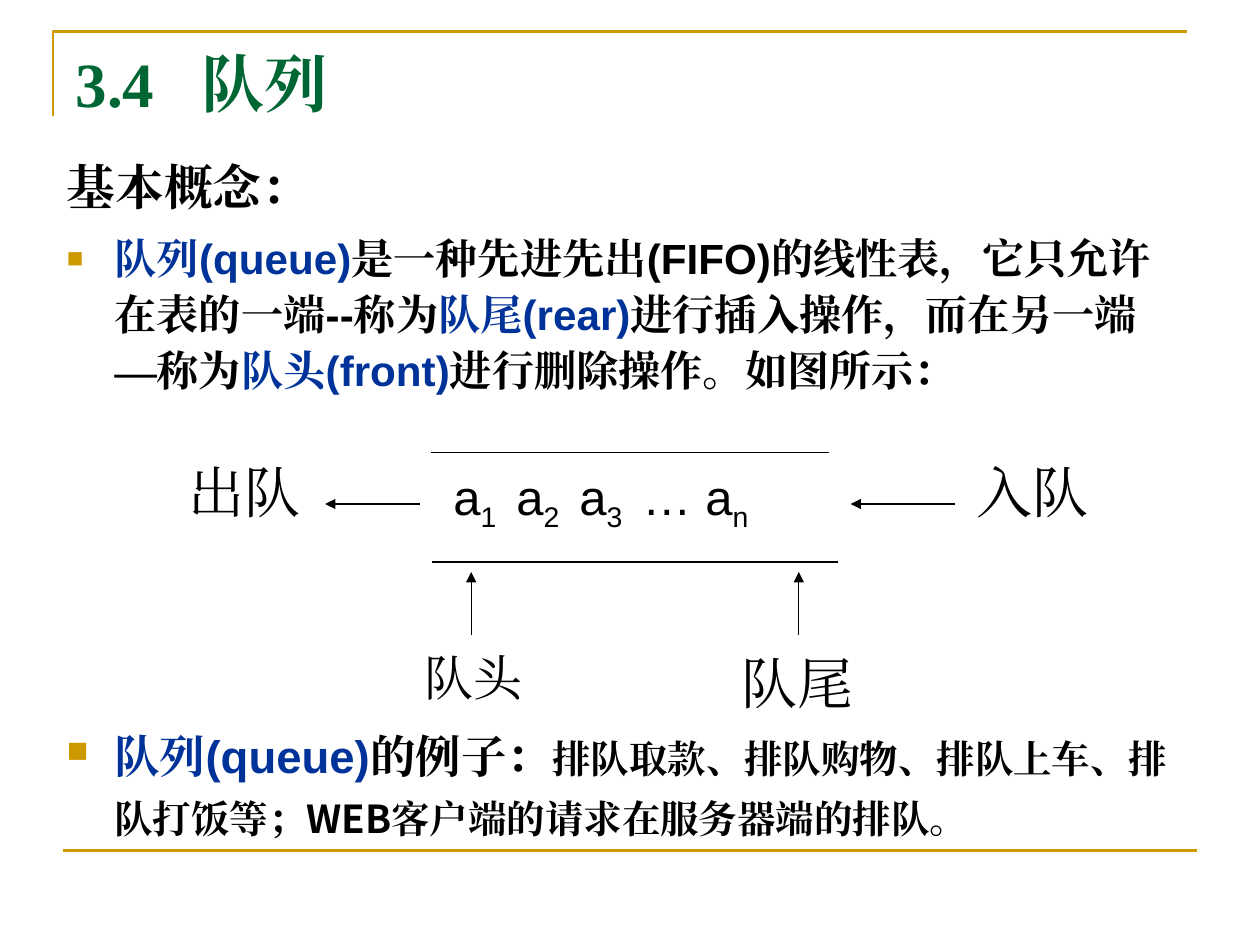
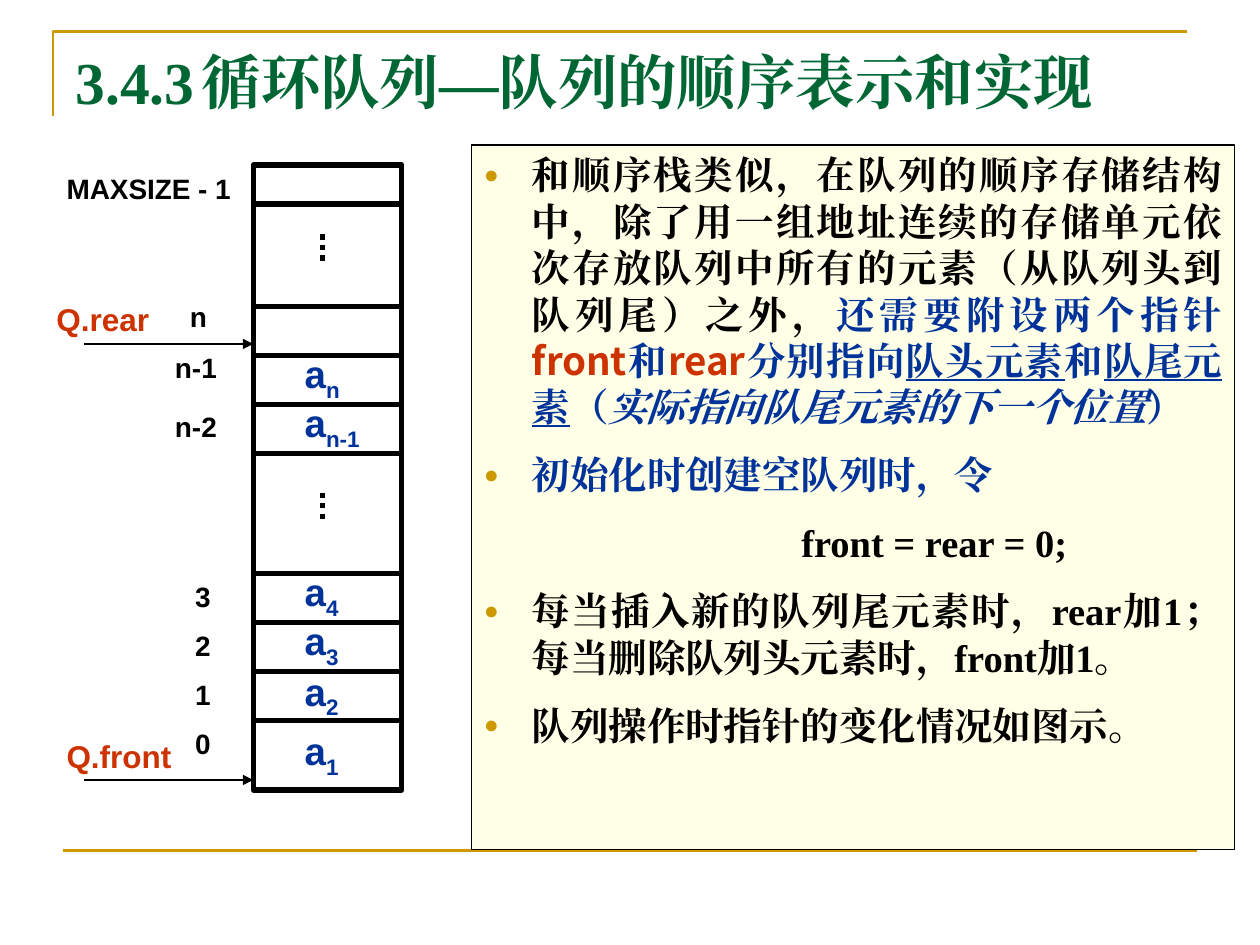
"""Build two slides about queues: the concept and the circular queue."""
from dataclasses import dataclass
from typing import Optional

from lxml import etree
from pptx import Presentation
from pptx.dml.color import RGBColor
from pptx.enum.dml import MSO_LINE
from pptx.enum.shapes import MSO_CONNECTOR, MSO_SHAPE
from pptx.enum.text import MSO_ANCHOR, MSO_AUTO_SIZE, PP_ALIGN
from pptx.oxml.ns import qn
from pptx.util import Inches, Pt

STRAIGHT = MSO_CONNECTOR.STRAIGHT
RECTANGLE = MSO_SHAPE.RECTANGLE
DOTTED = MSO_LINE.ROUND_DOT
TOP = MSO_ANCHOR.TOP
FIXED = MSO_AUTO_SIZE.NONE
LEFT, JUSTIFY = PP_ALIGN.LEFT, PP_ALIGN.JUSTIFY

COLORS = {"gold": "CC9900", "green": "006633", "blue": "003399",
          "red": "CC3300", "black": "000000", "cream": "FFFFE7"}
SERIF, SANS, CJK = "Times New Roman", "Arial", "Noto Sans CJK SC"
LINE_FACTOR = 1.21
HANGING = 0.38


@dataclass(frozen=True)
class Span:
    """A piece of text and what sets it apart from its paragraph."""
    text: str
    color: Optional[str] = None
    font: Optional[str] = None
    size: Optional[float] = None
    subscript: bool = False
    italic: Optional[bool] = None
    underline: Optional[bool] = None


@dataclass(frozen=True)
class Para:
    """A paragraph with its font, spacing, bullet and tab stops."""
    spans: tuple[Span, ...]
    size: float
    font: str = SANS
    color: str = "black"
    bold: bool = True
    align: PP_ALIGN = LEFT
    bullet: Optional[str] = None
    margin: float = 0
    indent: float = 0
    before: float = 0
    line: Optional[float] = None
    tabs: tuple[float, ...] = ()


@dataclass(frozen=True)
class Label:
    """A text box with one paragraph."""
    left: float
    top: float
    width: float
    height: float
    para: Para


@dataclass(frozen=True)
class Rule:
    """A straight line, optionally with an arrowhead or dots."""
    x1: float
    y1: float
    x2: float
    y2: float
    color: str = "black"
    weight: float = 0.75
    arrow: bool = False
    dotted: bool = False


def rgb(name: str) -> RGBColor:
    """Look up a colour."""
    return RGBColor.from_string(COLORS[name])


def add_child(parent, tag: str, **attributes: str):
    """Append a drawing element."""
    child = etree.SubElement(parent, qn(tag))
    for key, value in attributes.items():
        child.set(key, value)
    return child


def write_span(paragraph, span: Span) -> None:
    """Add a run and set only what differs from the paragraph."""
    run = paragraph.add_run()
    run.text = span.text
    if span.color:
        run.font.color.rgb = rgb(span.color)
    if span.font:
        run.font.name = span.font
    if span.size:
        run.font.size = Pt(span.size)
    if span.italic:
        run.font.italic = True
    if span.underline:
        run.font.underline = True
    if span.subscript:
        run.font._element.set("baseline", "-25000")


def write_para(paragraph, para: Para) -> None:
    """Format a paragraph and fill it with its spans."""
    properties = paragraph._p.get_or_add_pPr()
    properties.set("marL", str(Inches(para.margin)))
    properties.set("indent", str(Inches(para.indent)))
    if para.bullet:
        bullet_color = add_child(properties, "a:buClr")
        add_child(bullet_color, "a:srgbClr", val=COLORS["gold"])
        add_child(properties, "a:buSzPct", val="65000")
        add_child(properties, "a:buChar", char=para.bullet)
    else:
        add_child(properties, "a:buNone")
    if para.tabs:
        stops = add_child(properties, "a:tabLst")
        for stop in para.tabs:
            add_child(stops, "a:tab", pos=str(Inches(stop)), algn="l")
    paragraph.alignment = para.align
    paragraph.space_before = Pt(para.before)
    if para.line:
        paragraph.line_spacing = Pt(para.line)
    font = paragraph.font
    font.name, font.size, font.bold = para.font, Pt(para.size), para.bold
    font.color.rgb = rgb(para.color)
    add_child(properties.find(qn("a:defRPr")), "a:ea", typeface=SERIF)
    for span in para.spans:
        write_span(paragraph, span)


def write_text(shape, paras: list[Para], top_inset: float = 0.05) -> None:
    """Fill a shape with paragraphs from its top."""
    frame = shape.text_frame
    frame.word_wrap, frame.auto_size, frame.vertical_anchor = True, FIXED, TOP
    frame.margin_left = frame.margin_right = Inches(0.1)
    frame.margin_top, frame.margin_bottom = Inches(top_inset), Inches(0.05)
    for number, para in enumerate(paras):
        write_para(frame.add_paragraph() if number else frame.paragraphs[0], para)


def place(shape, left: float, top: float, width: float, height: float) -> None:
    """Move and size a shape."""
    shape.left, shape.top = Inches(left), Inches(top)
    shape.width, shape.height = Inches(width), Inches(height)


def draw_rule(slide, rule: Rule):
    """Draw a line."""
    ends = (Inches(v) for v in (rule.x1, rule.y1, rule.x2, rule.y2))
    connector = slide.shapes.add_connector(STRAIGHT, *ends)
    connector.line.color.rgb = rgb(rule.color)
    connector.line.width = Pt(rule.weight)
    if rule.dotted:
        connector.line.dash_style = DOTTED
    properties = connector._element.spPr
    if rule.arrow:
        add_child(properties.find(qn("a:ln")), "a:tailEnd", type="triangle")
    add_child(properties, "a:effectLst")
    return connector


def draw_label(slide, label: Label, top_inset: float = 0.05) -> None:
    """Draw a text box."""
    box = slide.shapes.add_textbox(Inches(label.left), Inches(label.top),
                                   Inches(label.width), Inches(label.height))
    write_text(box, [label.para], top_inset)


def start_slide(deck, title: tuple[Span, ...], size: float, tab: float):
    """Add a slide with the gold frame and a title."""
    slide = deck.slides.add_slide(deck.slide_layouts[1])
    builder = slide.shapes.build_freeform(Inches(0.42), Inches(0.92))
    builder.add_line_segments([(Inches(0.42), Inches(0.25)),
                               (Inches(9.42), Inches(0.25))], close=False)
    corner = builder.convert_to_shape()
    corner.fill.background()
    corner.line.color.rgb, corner.line.width = rgb("gold"), Pt(1.5)
    corner.shadow.inherit = False
    footer = draw_rule(slide, Rule(0.5, 6.75, 9.5, 6.75, "gold", 1.5))
    for shape in (footer, corner):
        slide.shapes.element.insert(2, shape._element)
    place(slide.shapes.title, 0.5, 0.3, 9, 0.85)
    write_text(slide.shapes.title, [Para(
        title, size, SERIF, "green", line=size * LINE_FACTOR, tabs=(tab,))])
    return slide


def hanzi_label(text: str, left: float, top: float, width: float,
                size: float = 32) -> Label:
    """Describe a plain label of the queue diagram."""
    para = Para((Span(text),), size, SERIF, bold=False, line=size * LINE_FACTOR)
    return Label(left, top, width, 0.02 * size, para)


def build_concept(deck) -> None:
    """Build the slide on the basic concept."""
    slide = start_slide(deck, (Span("3.4\t队列"),), 36, 1.01)
    body = slide.placeholders[1]
    place(body, 0.43, 1.15, 9, 2.05)
    definition = (Span("队列(queue)", "blue"),
                  Span("是一种先进先出(FIFO)的线性表，它只允许在表的一端--称为"),
                  Span("队尾(rear)", "blue"), Span("进行插入操作，而在另一端—称为"),
                  Span("队头(front)", "blue"), Span("进行删除操作。如图所示："))
    write_text(body, [
        Para((Span("基本概念："),), 27.8, margin=HANGING, indent=-HANGING, line=36.8),
        Para(definition, 24.1, bullet="■", margin=HANGING, indent=-HANGING,
             before=6.5, line=32)])
    for rule in (Rule(3.42, 3.59, 6.58, 3.59), Rule(3.43, 4.46, 6.65, 4.46),
                 Rule(3.33, 4, 2.58, 4, arrow=True), Rule(7.58, 4, 6.75, 4, arrow=True),
                 *(Rule(x, 5.04, x, 4.54, arrow=True) for x in (3.74, 6.34))):
        draw_rule(slide, rule)
    for label in (hanzi_label("出队", 1.4, 3.58, 1.1), hanzi_label("入队", 7.65, 3.58, 1.27),
                  hanzi_label("队头", 3.27, 5.09, 1.17, 28), hanzi_label("队尾", 5.79, 5.09, 1.5)):
        draw_label(slide, label)
    elements = []
    for lead, index in (("a", "1"), ("\ta", "2"), ("\ta", "3"), ("\t…\ta", "n")):
        elements += [Span(lead), Span(index, subscript=True)]
    draw_label(slide, Label(3.5, 3.65, 3.54, 0.63, Para(
        tuple(elements), 28, bold=False, tabs=(0.56, 1.11, 1.9, 2.5))))
    examples = (Span("队列(queue)", "blue"), Span("的例子："),
                Span("排队取款、排队购物、排队上车、排队打饭等；WEB客户端的请求在服务器端的排队。",
                     font=CJK, size=22))
    draw_label(slide, Label(0.43, 5.64, 9, 1.02, Para(
        examples, 26, bullet="■", margin=HANGING, indent=-HANGING, line=33.4)), 0.11)


def note(*spans: Span, color: str = "black", bullet: Optional[str] = "●",
         margin: float = HANGING, indent: float = -HANGING, before: float = 12.4) -> Para:
    """Describe a paragraph of the circular queue notes."""
    return Para(spans, 22, SERIF, color, align=JUSTIFY, bullet=bullet,
                margin=margin, indent=indent, before=before, line=26.5)


def draw_storage(slide) -> None:
    """Draw the array that stores the queue, with its indexes and pointers."""
    left, right, step = 2.01, 3.19, 0.39
    store = slide.shapes.add_shape(RECTANGLE, Inches(left), Inches(1.31),
                                   Inches(right - left), Inches(4.96))
    store.fill.background()
    store.line.color.rgb, store.line.width = rgb("black"), Pt(3)
    store.shadow.inherit = False
    borders = [base - step * i for base in (5.72, 3.6) for i in range(4)]
    for y in (*borders, 1.62):
        draw_rule(slide, Rule(left, y, right, y, weight=3))
    for y in (1.86, 3.91):
        draw_rule(slide, Rule(2.56, y, 2.56, y + 0.24, weight=3, dotted=True))
    indexes = [("MAXSIZE - 1", 0.43, 1.31), ("n", 1.41, 2.33),
               ("n-1", 1.29, 2.73), ("n-2", 1.29, 3.2)]
    indexes += [(str(i), 1.45, 5.72 - step * i) for i in range(4)]
    for text, x, y in indexes:
        draw_label(slide, Label(x, y, max(2 - x, 0.6), 0.37, Para((Span(text),), 16)))
    for index, y in (("n", 2.73), ("n-1", 3.12), ("4", 4.46), ("3", 4.85),
                     ("2", 5.25), ("1", 5.72)):
        spans = (Span("a"), Span(index, subscript=True))
        draw_label(slide, Label(2.32, y, 0.79, 0.52, Para(spans, 22, color="blue")))
    for text, x, y, tip in (("Q.rear", 0.35, 2.33, 2.73), ("Q.front", 0.43, 5.8, 6.19)):
        draw_label(slide, Label(x, y, 1.1, 0.4, Para((Span(text),), 18, color="red")))
        draw_rule(slide, Rule(0.67, tip, left, tip, arrow=True))


def build_circular(deck) -> None:
    """Build the slide on the circular queue."""
    slide = start_slide(deck, (Span("3.4.3\t循环队列"), Span("—", font=SANS),
                               Span("队列的顺序表示和实现")), 34, 1.3)
    body = slide.placeholders[1]
    place(body, 3.74, 1.15, 6.06, 5.59)
    body.fill.solid()
    body.fill.fore_color.rgb = rgb("cream")
    body.line.color.rgb, body.line.width = rgb("black"), Pt(0.75)
    write_text(body, [
        note(Span("和顺序栈类似，在队列的顺序存储结构中，除了用一组地址连续的存储单元依次"
                  "存放队列中所有的元素（从队列头到队列尾）之外，", "black"),
             Span("还需要附设两个指针"), Span("front", "red", CJK), Span("和"),
             Span("rear", "red", CJK), Span("分别指向"), Span("队头元素", underline=True),
             Span("和"), Span("队尾元素", underline=True), Span("（"),
             Span("实际指向队尾元素的下一个位置", italic=True), Span("）"),
             color="blue", before=0),
        note(Span("初始化时创建空队列时，令"), color="blue"),
        note(Span("front = rear = 0;"), bullet=None, margin=2.52, indent=0),
        note(Span("每当插入新的队列尾元素时，rear加1；每当删除队列头元素时，front加1。")),
        note(Span("队列操作时指针的变化情况如图示。"))])
    draw_storage(slide)


def main() -> None:
    """Build and save the deck."""
    deck = Presentation()
    deck.slide_width, deck.slide_height = Inches(10), Inches(7.5)
    build_concept(deck)
    build_circular(deck)
    deck.save("out.pptx")


if __name__ == "__main__":
    main()
